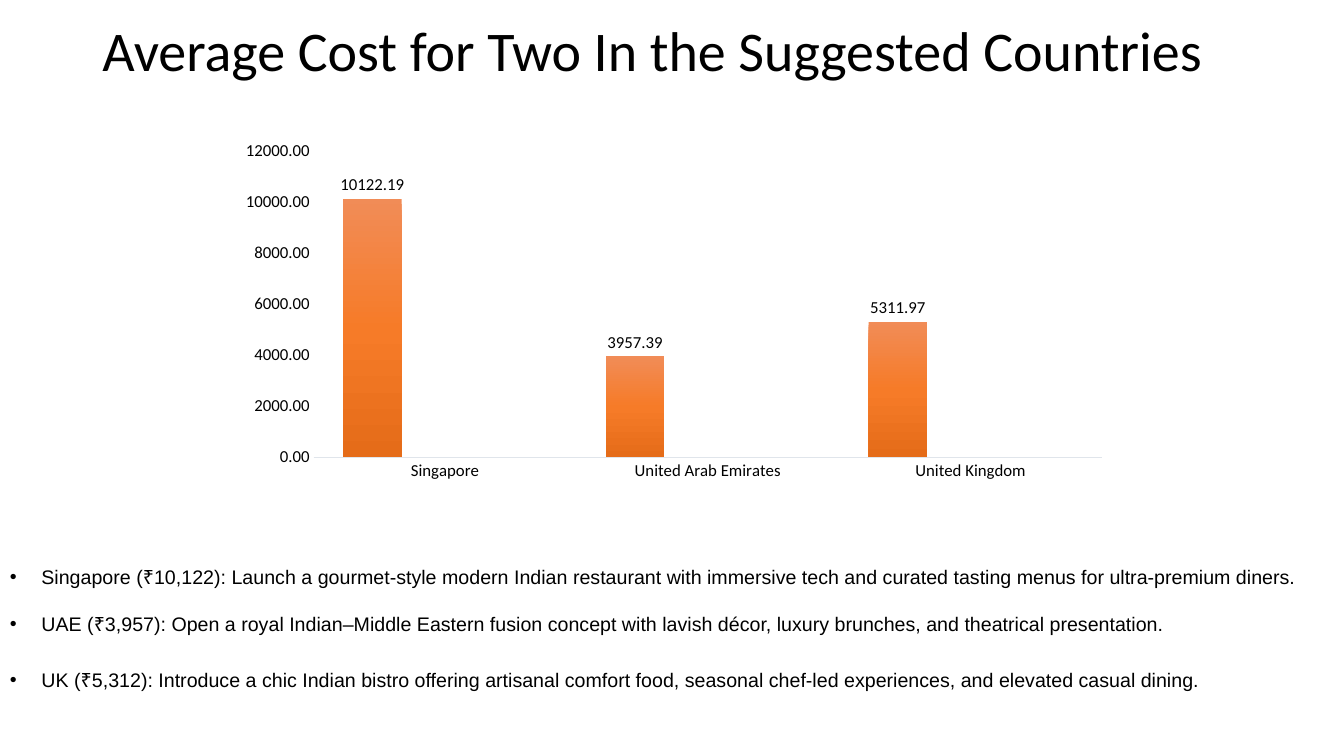
from copy import deepcopy
from pptx import Presentation
from pptx import util as u
from pptx.chart.data import CategoryChartData
from pptx.dml.color import RGBColor
from pptx.enum import chart as ch, text as tx
from pptx.oxml import parse_xml
from pptx.oxml.ns import nsdecls, qn

Pt = u.Pt


def style(font, size, name, tint="000000"):
    font.size, font.name = Pt(size), name
    font.color.rgb = RGBColor.from_string(tint)


def bullets(top, width, height, lines):
    box = slide.shapes.add_textbox(0, Pt(top), Pt(width), Pt(height))
    frame = box.text_frame
    frame.word_wrap = True
    frame.text = "\n".join(lines)
    for i, para in enumerate(frame.paragraphs):
        props = para._p.get_or_add_pPr()
        props.set("marL", str(Pt(22.5)))
        props.set("indent", str(-Pt(22.5)))
        props.append(parse_xml(f'<a:buFont {nsdecls("a")} typeface="Arial"/>'))
        props.append(parse_xml(f'<a:buChar {nsdecls("a")} char="•"/>'))
        style(para.font, 14, "Arial")
        if i:
            para.space_before = Pt(17)


prs = Presentation()
prs.slide_width, prs.slide_height = Pt(960), Pt(540)
slide = prs.slides.add_slide(prs.slide_layouts[5])

# Title
title = slide.shapes.title
title.left, title.top, title.width, title.height = Pt(66), Pt(-11.5), Pt(828), Pt(99.5)
title.text_frame.text = "Average Cost for Two In the Suggested Countries"
title.text_frame.vertical_anchor = tx.MSO_ANCHOR.MIDDLE
head = title.text_frame.paragraphs[0]
head.alignment = tx.PP_ALIGN.LEFT
head.line_spacing = 0.9
style(head.font, 40, "Calibri")

# Cost chart
data = CategoryChartData(number_format="0.00")
data.categories = ["Singapore", "United Arab Emirates", "United Kingdom"]
data.add_series("Series 1", [10122.19, 3957.39, 5311.97])
data.add_series("Series 2", [None] * 3)
data.add_series("Series 3", [None] * 3)
chart = slide.shapes.add_chart(
    ch.XL_CHART_TYPE.COLUMN_CLUSTERED, Pt(160), Pt(78), Pt(640), Pt(299.5), data).chart
chart.has_legend = chart.has_title = False
style(chart.font, 10, "Calibri")

plot = chart.plots[0]
plot.gap_width, plot.overlap, plot.vary_by_categories = 100, -24, False
shades = [("F18C57", "F67B28", "E56C19"),
          ("FFC64B", "FFC000", "E3AB00"),
          ("81B861", "6FB242", "62A336")]
for ser, tints in zip(plot.series, shades):
    fill = ser.format.fill
    fill.gradient()
    fill.gradient_angle = 270
    stops = ser._element.find(".//" + qn("a:gsLst"))
    stops.append(deepcopy(stops[0]))
    for stop, spot, tint in zip(fill.gradient_stops, (0, 0.5, 1), tints):
        stop.position = spot
        stop.color.rgb = RGBColor.from_string(tint)
    tags = ser.data_labels
    tags.show_value = True
    tags.position = ch.XL_LABEL_POSITION.OUTSIDE_END
    tags.number_format, tags.number_format_is_linked = "0.00", False
    style(tags.font, 12, "Calibri")

cost, land = chart.value_axis, chart.category_axis
for axis in (cost, land):
    axis.major_tick_mark = axis.minor_tick_mark = ch.XL_TICK_MARK.NONE
    axis.has_major_gridlines = False
    style(axis.tick_labels.font, 12, "Calibri")
cost.minimum_scale, cost.maximum_scale, cost.major_unit = 0, 12000, 2000
cost.tick_labels.number_format = "0.00"
cost.tick_labels.number_format_is_linked = False
cost.format.line.fill.background()
land.format.line.width = Pt(0.75)
land.format.line.color.rgb = RGBColor.from_string("E0E5EB")

# Fixed inner plot area, as fractions of the chart
area = chart._chartSpace.chart.plotArea
for old in area.findall(qn("c:layout")):
    area.remove(old)
sizes = "".join(f'<c:{k} val="{v}"/>' for k, v in
                [("layoutTarget", "inner"), ("xMode", "edge"), ("yMode", "edge"),
                 ("x", 0.1), ("y", 0.1), ("w", 0.88), ("h", 0.73)])
area.insert(0, parse_xml(
    f'<c:layout {nsdecls("c")}><c:manualLayout>{sizes}</c:manualLayout></c:layout>'))

# Ideas for each country
bullets(400, 966, 92, [
    "Singapore (₹10,122): Launch a gourmet-style modern Indian restaurant with "
    "immersive tech and curated tasting menus for ultra-premium diners.",
    "UAE (₹3,957): Open a royal Indian–Middle Eastern fusion concept with lavish "
    "décor, luxury brunches, and theatrical presentation."])
bullets(473.5, 960, 24.5, [
    "UK (₹5,312): Introduce a chic Indian bistro offering artisanal comfort food, "
    "seasonal chef-led experiences, and elevated casual dining."])

prs.save("out.pptx")
